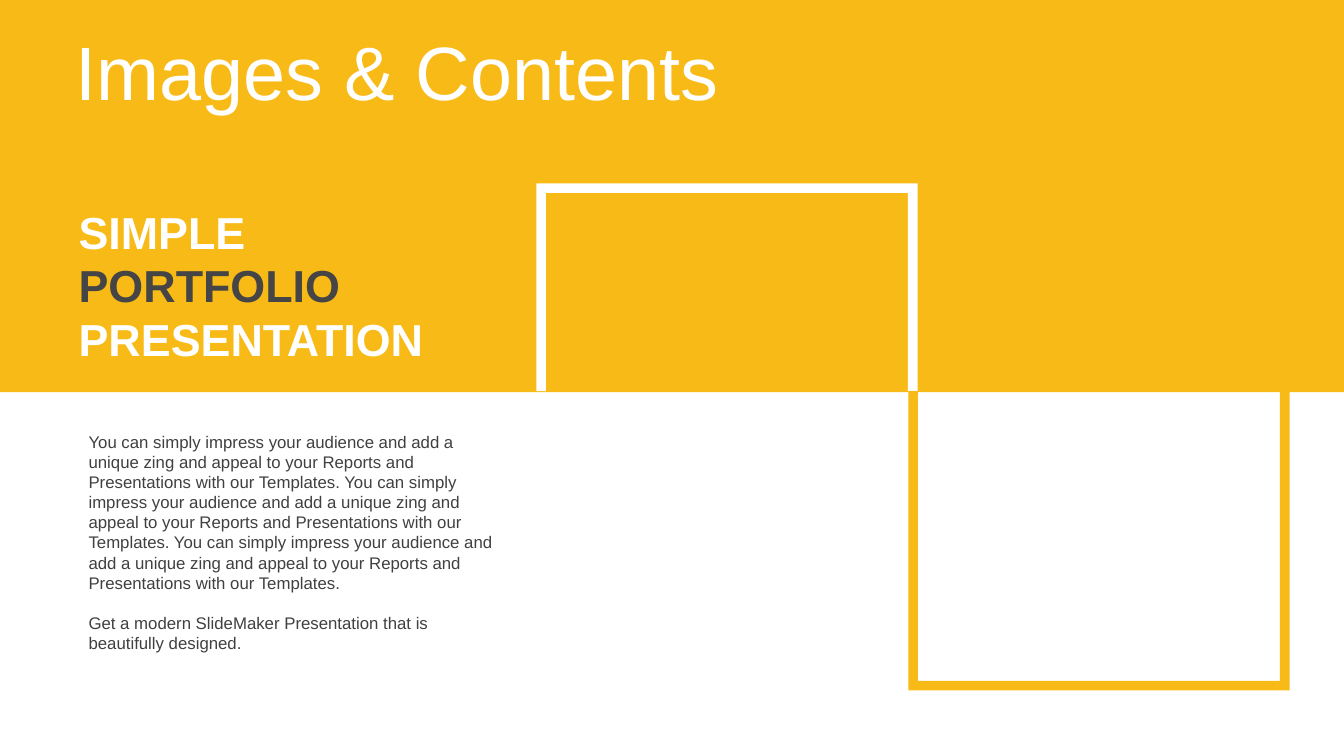
from pptx import Presentation
from pptx.dml.color import RGBColor as Rgb
from pptx.enum.shapes import MSO_SHAPE as Shape
from pptx.enum.text import MSO_ANCHOR as Anchor, PP_ALIGN as Align
from pptx.util import Inches as In, Pt

WIDE, HIGH = 13.33, 7.5
SPLIT = 3.88      # where the yellow band meets the white half
LEFT = 0.78       # left edge of the text column
COL = 4.25        # width of the text column
GOLD, WHITE, GREY, DARK = "F8BA16", "FFFFFF", "454545", "404040"


def paint(shape, color):
    shape.fill.solid()
    shape.fill.fore_color.rgb = Rgb.from_string(color)
    shape.line.fill.background()
    shape.shadow.inherit = False


def write(para, text, size, color, bold=False):
    para.alignment = Align.LEFT
    run = para.add_run()
    run.text = text
    font = run.font
    font.name, font.size, font.bold = "Arial", Pt(size), bold
    font.color.rgb = Rgb.from_string(color)


def add_text(slide, x, y, w, h):
    frame = slide.shapes.add_textbox(In(x), In(y), In(w), In(h)).text_frame
    frame.word_wrap = True
    return frame


# Yellow band, kept behind the title
def add_band(slide, w, h):
    band = slide.shapes.add_shape(Shape.RECTANGLE, 0, 0, In(w), In(h))
    paint(band, GOLD)
    slide.shapes.title.element.addprevious(band.element)


def set_title(slide, x, y, w, h):
    title = slide.shapes.title
    title.left, title.top, title.width, title.height = map(In, (x, y, w, h))
    frame = title.text_frame
    frame.vertical_anchor = Anchor.MIDDLE
    para = frame.paragraphs[0]
    para.line_spacing = 0.9
    write(para, "Images & Contents", 54, WHITE)


# Headline: one word to a row
def add_head(slide, x, y, w, h):
    words = (("SIMPLE", WHITE), ("PORTFOLIO", GREY), ("PRESENTATION", WHITE))
    row = h / len(words)
    for i, (word, color) in enumerate(words):
        frame = add_text(slide, x, y + i * row, w, 0.51)
        frame.margin_left = 0
        frame.vertical_anchor = Anchor.MIDDLE
        write(frame.paragraphs[0], word, 32, color, True)


def add_body(slide, x, y, w, h):
    pitch = ("You can simply impress your audience and add a unique zing and "
             "appeal to your Reports and Presentations with our Templates.")
    frame = add_text(slide, x, y, w, h)
    write(frame.paragraphs[0], " ".join([pitch] * 3), 12, DARK)
    para = frame.add_paragraph()
    para.space_before = Pt(14.4)
    write(para, "Get a modern SlideMaker Presentation that is "
          "beautifully designed.", 12, DARK)


# Three-sided frame, open at the split; h < 0 points up
def add_frame(slide, x, y, w, h, color):
    bar = 0.095
    end = y + h
    inner = end - bar if h > 0 else end + bar
    points = [(x, y), (x, end), (x + w, end), (x + w, y),
              (x + w - bar, y), (x + w - bar, inner),
              (x + bar, inner), (x + bar, y)]
    pen = slide.shapes.build_freeform(In(x), In(y))
    pen.add_line_segments([(In(a), In(b)) for a, b in points[1:]])
    paint(pen.convert_to_shape(), color)


def main():
    deck = Presentation()
    deck.slide_width, deck.slide_height = In(WIDE), In(HIGH)
    slide = deck.slides.add_slide(deck.slide_layouts[5])
    add_band(slide, WIDE, SPLIT + 0.01)
    set_title(slide, 0.65, 0.36, 10.83, 0.79)
    add_head(slide, LEFT, 2.04, COL, 1.59)
    add_body(slide, LEFT, 4.23, COL, 2.32)
    side = 3.78
    add_frame(slide, 5.32, SPLIT, side, -2.06, WHITE)
    add_frame(slide, 9.01, SPLIT, side, 2.97, GOLD)
    deck.save("out.pptx")


if __name__ == "__main__":
    main()
